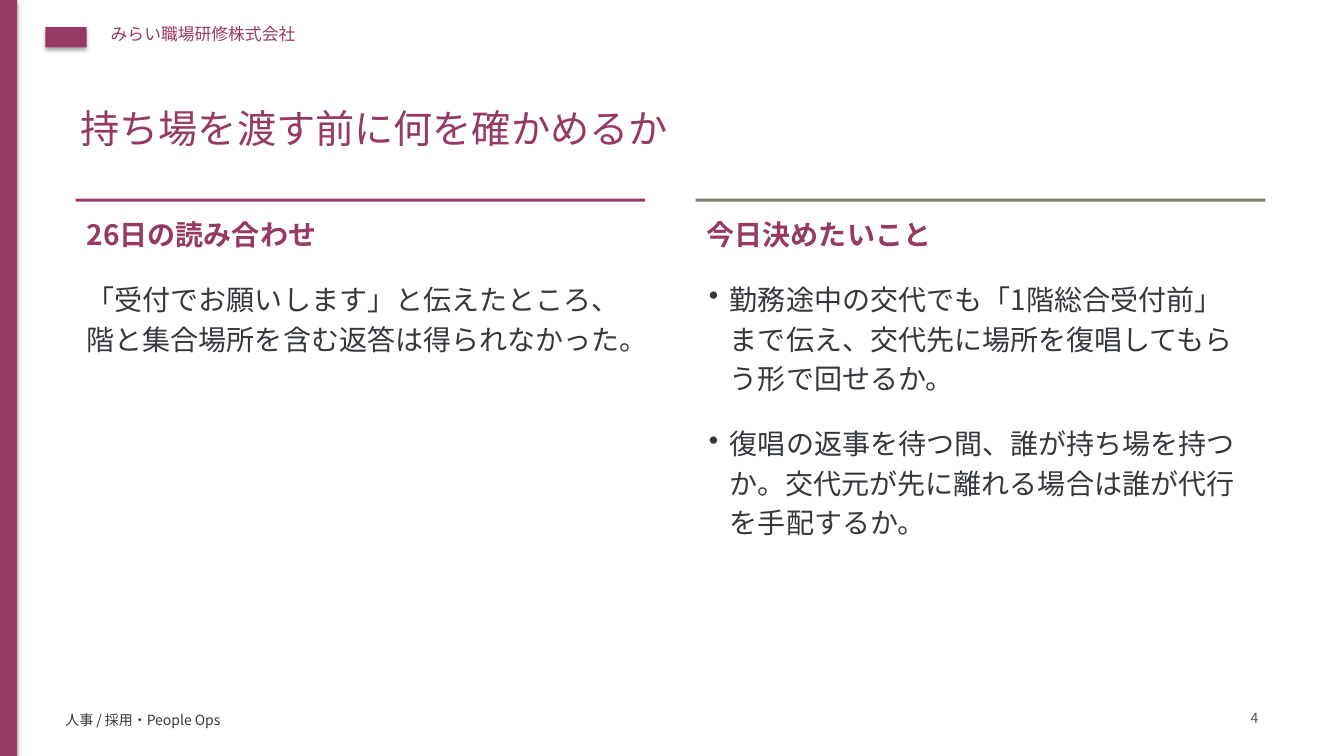
from dataclasses import dataclass
from typing import Optional

from lxml.etree import SubElement as Sub
from pptx import Presentation
from pptx.dml.color import RGBColor as Rgb
from pptx.enum.lang import MSO_LANGUAGE_ID as Lang
from pptx.enum.shapes import MSO_SHAPE as Kind
from pptx.enum.text import MSO_ANCHOR as Anchor
from pptx.enum.text import MSO_AUTO_SIZE as Fit
from pptx.enum.text import PP_ALIGN as Align
from pptx.oxml.ns import qn
from pptx.shapes.autoshape import Shape
from pptx.slide import Slide
from pptx.util import Inches, Pt


@dataclass(frozen=True)
class Theme:
    face: str = "Noto Sans CJK JP"
    plum: str = "963A65"
    sage: str = "7B8270"
    ink: str = "34383C"
    gray: str = "535952"
    title: int = 28
    body: int = 20
    brand: int = 12
    small: int = 10
    lead: float = 1.18


@dataclass(frozen=True)
class Box:
    left: float
    top: float
    width: float
    height: float


@dataclass(frozen=True)
class Line:
    text: str
    size: int
    color: str
    bold: bool = False
    lead: Optional[float] = None
    before: int = 0
    bullet: bool = False
    align: Align = Align.LEFT


@dataclass(frozen=True)
class Label:
    box: Box
    lines: tuple[Line, ...]
    inset: tuple[float, float, float, float] = (0.1, 0.05, 0.1, 0.05)
    wrap: bool = True
    grow: bool = False


@dataclass(frozen=True)
class Column:
    color: str
    head: str
    items: tuple[str, ...]
    bullet: bool


THEME = Theme()
LEFT, STEP, WIDE = 0.75, 6.15, 5.65

LABELS = (
    Label(Box(1, 0.19, 8, 0.4),
          (Line("みらい職場研修株式会社", THEME.brand, THEME.plum),),
          wrap=False, grow=True),
    Label(Box(0.55, 7.01, 10, 0.3),
          (Line("人事 / 採用・People Ops", THEME.small, THEME.ink),),
          wrap=False, grow=True),
    Label(Box(0.7, 0.9, 11.8, 0.85),
          (Line("持ち場を渡す前に何を確かめるか", THEME.title, THEME.plum,
                lead=THEME.lead),)),
    Label(Box(12.1, 7.01, 0.38, 0.25),
          (Line("4", THEME.small, THEME.gray, lead=THEME.lead,
                align=Align.RIGHT),),
          inset=(0, 0, 0, 0), grow=True),
)

COLUMNS = (
    Column(THEME.plum, "26日の読み合わせ",
           ("「受付でお願いします」と伝えたところ、階と集合場所を含む返答は得られなかった。",),
           bullet=False),
    Column(THEME.sage, "今日決めたいこと",
           ("勤務途中の交代でも「1階総合受付前」まで伝え、交代先に場所を復唱してもらう形で回せるか。",
            "復唱の返事を待つ間、誰が持ち場を持つか。交代元が先に離れる場合は誰が代行を手配するか。"),
           bullet=True),
)


def place(box: Box) -> tuple[Inches, Inches, Inches, Inches]:
    return (Inches(box.left), Inches(box.top),
            Inches(box.width), Inches(box.height))


def add_block(slide: Slide, box: Box, color: str) -> Shape:
    block = slide.shapes.add_shape(Kind.RECTANGLE, *place(box))
    block.shadow.inherit = False
    block.fill.solid()
    block.fill.fore_color.rgb = Rgb.from_string(color)
    block.line.fill.background()
    return block


def add_shade(block: Shape) -> None:
    """Give the block a soft shadow straight below it."""
    effect = block.element.spPr.find(qn("a:effectLst"))
    shade = Sub(effect, qn("a:outerShdw"), blurRad=str(Pt(3.1)),
                dist=str(Pt(1.8)), dir="5400000", rotWithShape="0")
    black = Sub(shade, qn("a:srgbClr"), val="000000")
    Sub(black, qn("a:alpha"), val="35000")


def add_label(slide: Slide, label: Label) -> None:
    frame = slide.shapes.add_textbox(*place(label.box)).text_frame
    frame.word_wrap = label.wrap
    frame.auto_size = Fit.SHAPE_TO_FIT_TEXT if label.grow else Fit.NONE
    frame.vertical_anchor = Anchor.TOP
    (frame.margin_left, frame.margin_top,
     frame.margin_right, frame.margin_bottom) = map(Inches, label.inset)
    frame.text = "\n".join(line.text for line in label.lines)
    for para, line in zip(frame.paragraphs, label.lines):
        para.alignment = line.align
        if line.lead:
            para.line_spacing = line.lead
        if line.before:
            para.space_before = Pt(line.before)
        if line.bullet:
            props = para._p.get_or_add_pPr()
            props.set("marL", str(Inches(0.23)))
            props.set("indent", str(Inches(-0.21)))
            Sub(props, qn("a:buChar"), char="•")
        for run in para.runs:
            font = run.font
            font.size = Pt(line.size)
            font.bold = line.bold
            font.color.rgb = Rgb.from_string(line.color)
            font.language_id = Lang.JAPANESE
            font.name = THEME.face
            Sub(run._r.get_or_add_rPr(), qn("a:ea"), typeface=THEME.face)


def add_column(slide: Slide, column: Column, left: float) -> None:
    head = Line(column.head, THEME.body, THEME.plum, bold=True,
                lead=THEME.lead)
    items = tuple(Line(item, THEME.body, THEME.ink, lead=THEME.lead,
                       before=18, bullet=column.bullet)
                  for item in column.items)
    add_label(slide, Label(Box(left, 2.05, WIDE, 4.55), (head, *items),
                           inset=(0.11, 0.05, 0.16, 0.05)))
    add_block(slide, Box(left, 1.97, WIDE, 0.03), column.color)


def main() -> None:
    deck = Presentation()
    deck.slide_width, deck.slide_height = Inches(13.33), Inches(7.5)
    slide = deck.slides.add_slide(deck.slide_layouts[6])
    for box in (Box(0, 0, 0.17, 7.5), Box(0.45, 0.27, 0.41, 0.2)):
        add_shade(add_block(slide, box, THEME.plum))
    for label in LABELS:
        add_label(slide, label)
    for index, column in enumerate(COLUMNS):
        add_column(slide, column, LEFT + index * STEP)
    deck.save("out.pptx")


if __name__ == "__main__":
    main()
